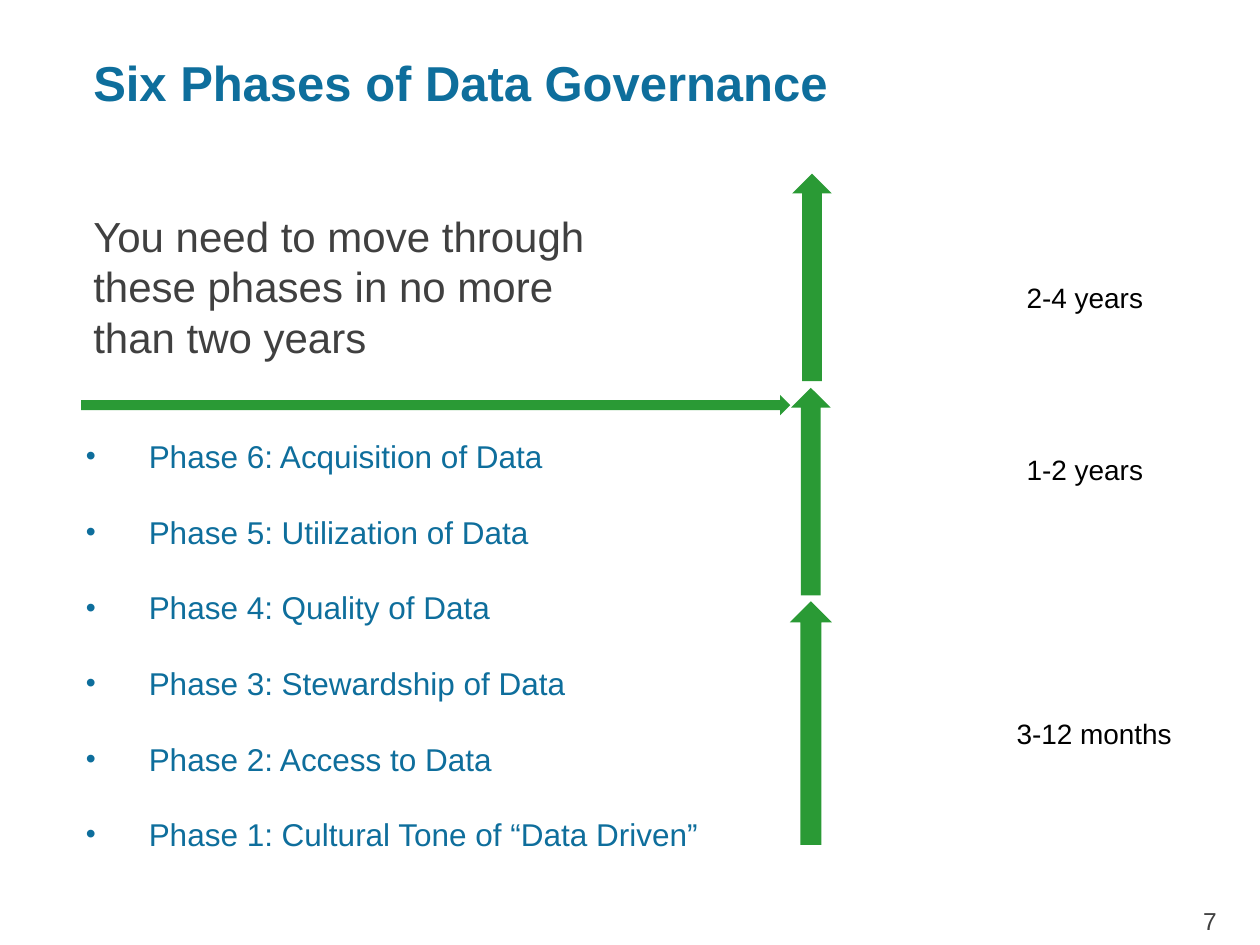
from lxml import etree
from pptx import Presentation
from pptx.dml.color import RGBColor
from pptx.enum.shapes import MSO_SHAPE
from pptx.enum.text import MSO_ANCHOR, MSO_AUTO_SIZE, PP_ALIGN
from pptx.oxml.ns import qn
from pptx.util import Pt

UP, RIGHT = MSO_SHAPE.UP_ARROW, MSO_SHAPE.RIGHT_ARROW
TOP, MIDDLE = MSO_ANCHOR.TOP, MSO_ANCHOR.MIDDLE
NO_FIT, LEFT = MSO_AUTO_SIZE.NONE, PP_ALIGN.LEFT
COLORS = {"blue": "0E6E9C", "grey": "404040", "black": "000000", "green": "2A9A35"}
FONT = "Arial"
TWO_CONTENT = 3


class SlideBuilder:
    def __init__(self, prs):
        self.s = prs.slides.add_slide(prs.slide_layouts[TWO_CONTENT])

    def color(self, name):
        return RGBColor.from_string(COLORS[name])

    def frame(self, sp, **values):
        defaults = {"word_wrap": True, "auto_size": NO_FIT, "vertical_anchor": TOP}
        for name, value in {**defaults, **values}.items():
            setattr(sp.text_frame, name, value)

    def add_text(self, p, text, size, color, bold=False, spacing=1.0):
        layout = {"alignment": LEFT, "line_spacing": spacing,
                  "space_before": Pt(0), "space_after": Pt(0)}
        for name, value in layout.items():
            setattr(p, name, value)
        r = p.add_run()
        r.text = text
        for name, value in {"name": FONT, "size": Pt(size), "bold": bold}.items():
            setattr(r.font, name, value)
        r.font.color.rgb = self.color(color)

    def bullet(self, p, indent):
        pPr = p._p.get_or_add_pPr()
        pPr.set("marL", str(Pt(indent)))
        pPr.set("indent", str(-Pt(indent)))
        if indent:
            etree.SubElement(pPr, qn("a:buSzPct")).set("val", "90000")
            etree.SubElement(pPr, qn("a:buFont")).set("typeface", FONT)
            etree.SubElement(pPr, qn("a:buChar")).set("char", "•")
        else:
            etree.SubElement(pPr, qn("a:buNone"))

    def placeholder(self, index, box, lines, size, color, indent=0,
                    bold=False, spacing=1.0, **frame):
        sp = self.s.placeholders[index]
        for name, value in zip(("left", "top", "width", "height"), box):
            setattr(sp, name, Pt(value))
        self.frame(sp, **frame)
        tf = sp.text_frame
        for i, line in enumerate(lines):
            p = tf.add_paragraph() if i else tf.paragraphs[0]
            self.bullet(p, indent)
            self.add_text(p, line, size, color, bold, spacing)

    def label(self, box, text, size, color, wrap=False):
        sp = self.s.shapes.add_textbox(*map(Pt, box))
        self.frame(sp, word_wrap=wrap)
        self.add_text(sp.text_frame.paragraphs[0], text, size, color)

    def arrow(self, kind, box):
        sp = self.s.shapes.add_shape(kind, *map(Pt, box))
        sp.shadow.inherit = False
        sp.fill.solid()
        sp.fill.fore_color.rgb = self.color("green")
        sp.line.fill.background()


def main():
    prs = Presentation()
    prs.slide_width, prs.slide_height = Pt(720), Pt(540)
    slide = SlideBuilder(prs)
    flush = {"vertical_anchor": MIDDLE, "margin_left": 0, "margin_top": 0,
             "margin_right": 0, "margin_bottom": 0}

    slide.placeholder(0, (53.3, 34.6, 613.4, 29.5), ["Six Phases of Data Governance"],
                      28, "blue", bold=True, spacing=0.85, **flush)
    slide.placeholder(1, (53.3, 105.1, 290.2, 116.6),
                      ["You need to move through these phases in no more than two years"],
                      24, "grey", **flush)

    topics = ["Cultural Tone of “Data Driven”", "Access to Data", "Stewardship of Data",
              "Quality of Data", "Utilization of Data", "Acquisition of Data"]
    phases = [f"Phase {n}: {topic}" for n, topic in enumerate(topics, 1)]
    slide.placeholder(2, (41.8, 224.6, 367.9, 265.7), phases[::-1], 18, "blue",
                      indent=36, spacing=2.0)

    for box in ((451.4, 343.6, 24, 139.2), (452, 221.6, 22.6, 118.6),
                (452.7, 99.2, 22.6, 118.6)):
        slide.arrow(UP, box)
    slide.arrow(RIGHT, (46.4, 225.7, 405.2, 11.6))

    for left, top, width, text in ((573.8, 406.1, 104.4, "3-12 months"),
                                   (579.6, 254.9, 82.1, "1-2 years"),
                                   (579.6, 157, 82.1, "2-4 years")):
        slide.label((left, top, width, 26.6), text, 16, "black")
    slide.label((680.4, 514.1, 39.6, 18), "7", 14, "grey", wrap=True)

    prs.save("out.pptx")


if __name__ == "__main__":
    main()
